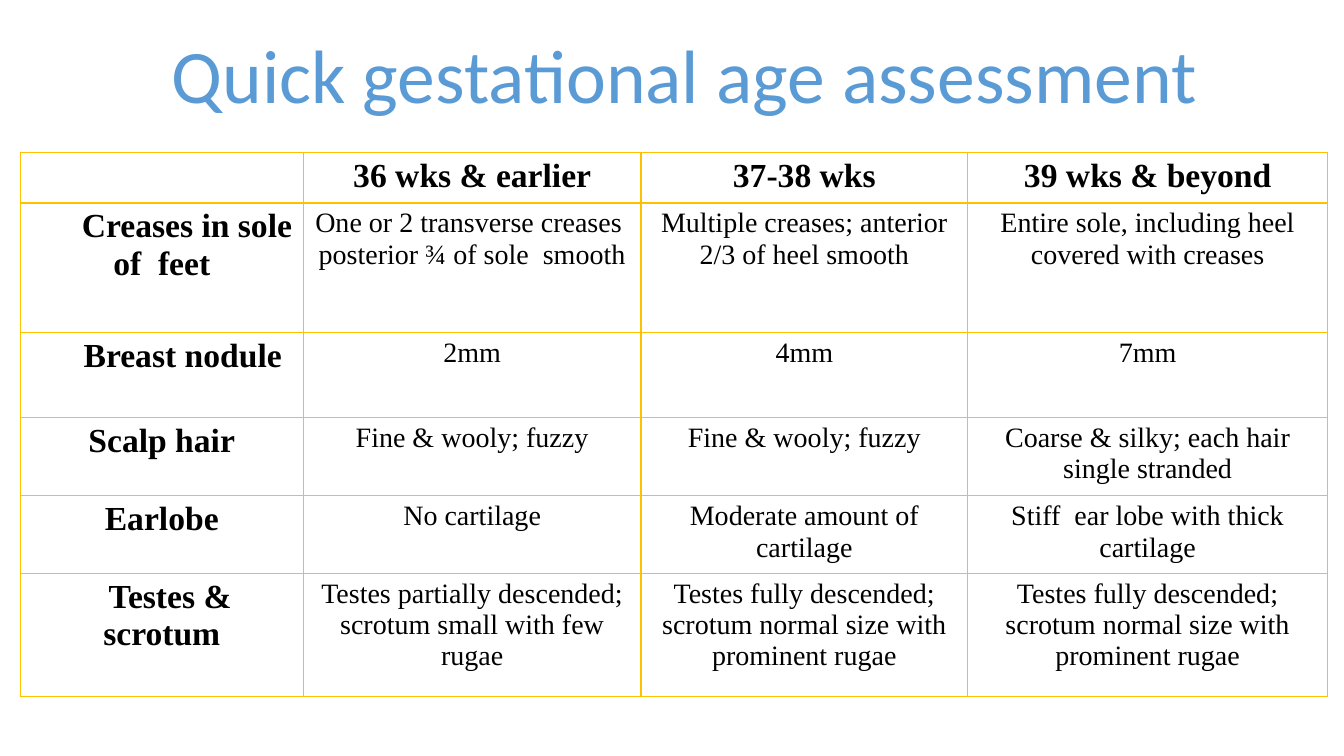
from lxml.etree import SubElement
from pptx import Presentation
from pptx.dml.color import RGBColor
from pptx.enum.text import MSO_ANCHOR, MSO_AUTO_SIZE, PP_ALIGN
from pptx.oxml.ns import qn
from pptx.util import Pt

BLUE = RGBColor(0x5B, 0x9B, 0xD5)
GOLD = RGBColor(0xFF, 0xC0, 0x00)
BLACK = RGBColor(0, 0, 0)

COL_WIDTHS = [202.3, 241.2, 233.3, 257.2]
ROW_HEIGHTS = [34.8, 92.6, 60.5, 56.2, 51.2, 87.8]
ROWS = [
    ["", "36 wks & earlier", "37-38 wks", "39 wks & beyond"],
    ["Creases in sole of  feet",
     "One or 2 transverse creases  posterior ¾ of sole  smooth",
     "Multiple creases; anterior 2/3 of heel smooth",
     "Entire sole, including heel covered with creases"],
    ["Breast nodule", "2mm", "4mm", "7mm"],
    ["Scalp hair", "Fine & wooly; fuzzy", "Fine & wooly; fuzzy",
     "Coarse & silky; each hair single stranded"],
    ["Earlobe", "No cartilage", "Moderate amount of cartilage",
     "Stiff  ear lobe with thick cartilage"],
    ["Testes &\vscrotum",
     "Testes partially descended; scrotum small with few rugae",
     "Testes fully descended; scrotum normal size with prominent rugae",
     "Testes fully descended; scrotum normal size with prominent rugae"],
]
LABEL_INDENTS = {1: 36, 2: 30, 5: 12}  # first-line indents of row labels
HEADING = {"name": "Times New Roman", "size": Pt(24), "bold": True}
BODY = {"name": "Times New Roman", "size": Pt(20), "bold": False}
TITLE = {"name": "Calibri", "size": Pt(54), "bold": False}


def format_text(p, fmt, color):
    p.alignment = PP_ALIGN.CENTER
    for key, value in fmt.items():
        setattr(p.font, key, value)
    p.font.color.rgb = color


def add_borders(cell):
    tcPr = cell._tc.get_or_add_tcPr()
    for side in ("lnL", "lnR", "lnT", "lnB"):
        ln = SubElement(tcPr, qn(f"a:{side}"), w=str(Pt(1)))
        fill = SubElement(ln, qn("a:solidFill"))
        SubElement(fill, qn("a:srgbClr"), val=str(GOLD))


prs = Presentation()
prs.slide_width, prs.slide_height = Pt(960), Pt(540)
s = prs.slides.add_slide(prs.slide_layouts[5])

# Title
title = s.shapes.title
title.left, title.top, title.width, title.height = Pt(111.6), Pt(16.6), Pt(754.6), Pt(72.7)
tf = title.text_frame
tf.text = "Quick gestational age assessment"
tf.word_wrap = False
tf.auto_size = MSO_AUTO_SIZE.SHAPE_TO_FIT_TEXT
tf.vertical_anchor = MSO_ANCHOR.TOP
format_text(tf.paragraphs[0], TITLE, BLUE)

# Assessment table
table = s.shapes.add_table(len(ROWS), len(COL_WIDTHS), Pt(14.4), Pt(108.9),
                           Pt(sum(COL_WIDTHS)), Pt(sum(ROW_HEIGHTS))).table
table.first_row = table.horz_banding = False
for column, width in zip(table.columns, COL_WIDTHS):
    column.width = Pt(width)
for row, height in zip(table.rows, ROW_HEIGHTS):
    row.height = Pt(height)

# Cell text, indents and borders
for i, texts in enumerate(ROWS):
    for j, text in enumerate(texts):
        cell = table.cell(i, j)
        cell.text = text
        add_borders(cell)
        cell.fill.background()
        for p in cell.text_frame.paragraphs:
            format_text(p, HEADING if i == 0 or j == 0 else BODY, BLACK)
            for r in p.runs:
                r.font.bold = p.font.bold
        if j == 0 and i in LABEL_INDENTS:
            pPr = cell.text_frame.paragraphs[0]._p.get_or_add_pPr()
            pPr.set("indent", str(Pt(LABEL_INDENTS[i])))

prs.save("out.pptx")
